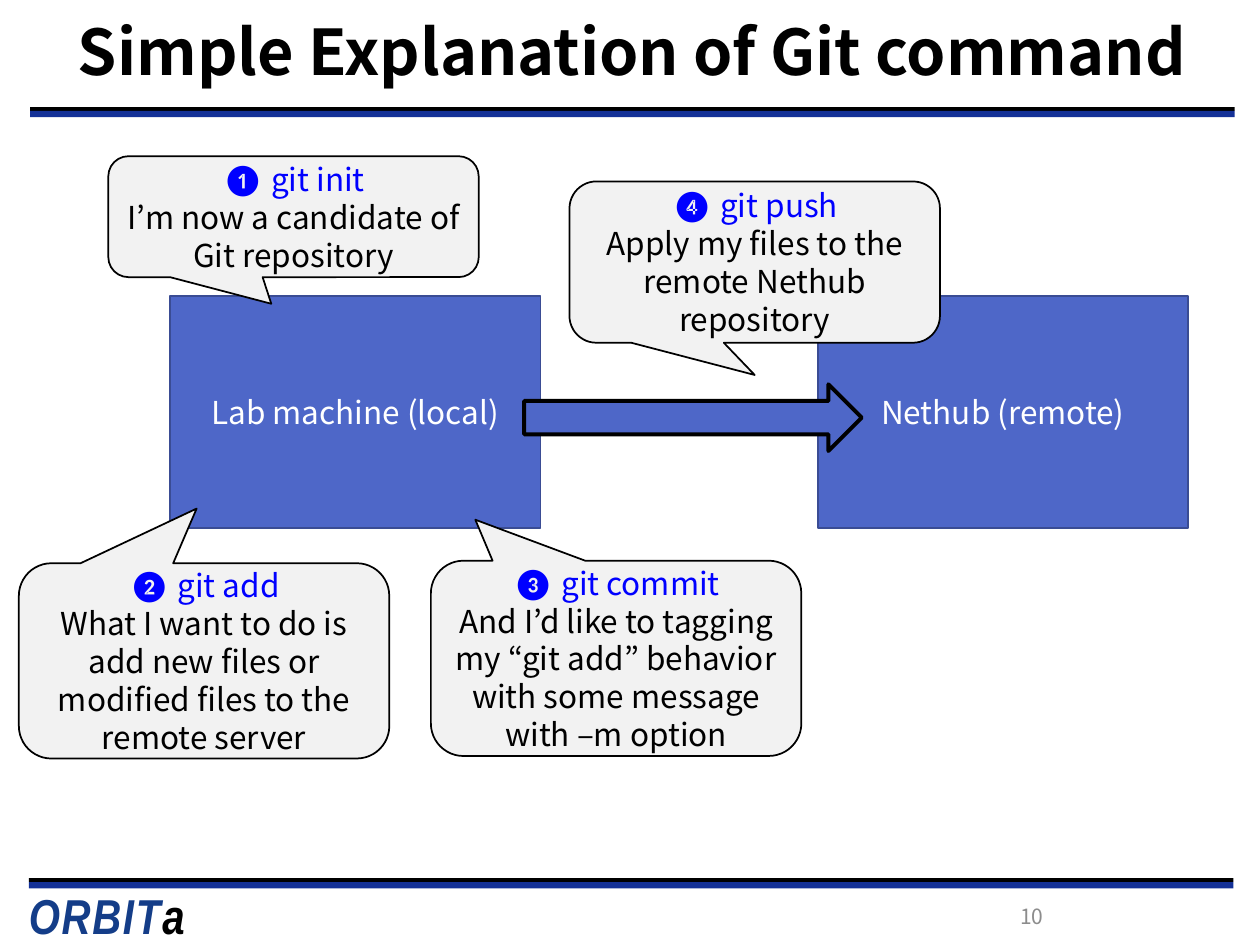
from dataclasses import dataclass
from pptx import Presentation
from pptx.dml.color import RGBColor
from pptx.enum.shapes import MSO_SHAPE
from pptx.enum.text import MSO_ANCHOR, PP_ALIGN
from pptx.util import Inches, Pt

RECT = MSO_SHAPE.RECTANGLE
CALLOUT = MSO_SHAPE.ROUNDED_RECTANGULAR_CALLOUT
ARROW = MSO_SHAPE.RIGHT_ARROW
MIDDLE = MSO_ANCHOR.MIDDLE
CENTER = PP_ALIGN.CENTER


@dataclass(frozen=True)
class Theme:
    font: str = "Noto Sans CJK KR"
    number_font: str = "Calibri"
    logo_font: str = "Arial Narrow"
    black: str = "000000"
    white: str = "FFFFFF"
    navy: str = "143197"
    logo: str = "143D88"
    grey: str = "8C8C8C"
    box: str = "4E67C8"
    box_line: str = "3A4C94"
    bubble: str = "F2F2F2"
    command: str = "0000FF"
    title: int = 36
    body: int = 18
    small: int = 12
    logo_size: int = 28


T = Theme()


def add_run(p, text, size, color, font=T.font, bold=False, italic=False):
    r = p.add_run()
    r.text = text
    r.font.size = Pt(size)
    r.font.name = font
    r.font.bold = bold
    r.font.italic = italic
    r.font.color.rgb = RGBColor.from_string(color)
    return r


def add_box(kind, x, y, w, h, fill, line=None, width=1):
    sp = s.shapes.add_shape(kind, Inches(x), Inches(y), Inches(w), Inches(h))
    sp.shadow.inherit = False
    sp.fill.solid()
    sp.fill.fore_color.rgb = RGBColor.from_string(fill)
    if line:
        sp.line.color.rgb = RGBColor.from_string(line)
        sp.line.width = Pt(width)
    else:
        sp.line.fill.background()
    tf = sp.text_frame
    tf.word_wrap = True
    tf.vertical_anchor = MIDDLE
    tf.paragraphs[0].alignment = CENTER
    return sp


prs = Presentation()
prs.slide_width = Inches(10)
prs.slide_height = Inches(7.5)
s = prs.slides.add_slide(prs.slide_layouts[6])

for x, y in [(0.24, 0.85), (0.23, 6.97)]:
    add_box(RECT, x, y, 9.56, 0.03, T.black)
    add_box(RECT, x, y + 0.03, 9.56, 0.05, T.navy)

tb = s.shapes.add_textbox(Inches(0.13), Inches(6.98), Inches(1.75), Inches(0.57))
tb.text_frame.word_wrap = True
p = tb.text_frame.paragraphs[0]
for text, color in [("ORBIT", T.logo), ("a", T.black)]:
    r = add_run(p, text, T.logo_size, color, T.logo_font, True, True)
    r._r.get_or_add_rPr().set("spc", "100")

for text, x, y, w, h, size, color, bold in [
    ("Simple Explanation of Git command", 0.26, 0.02, 9.51, 0.83, T.title, T.black, True),
    ("10", 7.98, 7.07, 0.42, 0.4, T.small, T.grey, False),
]:
    tb = s.shapes.add_textbox(Inches(x), Inches(y), Inches(w), Inches(h))
    tf = tb.text_frame
    tf.word_wrap = True
    tf.vertical_anchor = MIDDLE
    p = tf.paragraphs[0]
    p.alignment = CENTER
    if bold:
        p.line_spacing = 0.9
    add_run(p, text, size, color, bold=bold)

for x, label in [(1.35, "Lab machine (local)"), (6.49, "Nethub (remote)")]:
    sp = add_box(RECT, x, 2.35, 2.94, 1.84, T.box, T.box_line)
    add_run(sp.text_frame.paragraphs[0], label, T.body, T.white)

add_box(ARROW, 4.16, 3.05, 2.68, 0.53, T.box, T.black, 2.25)

callouts = [
    ("❶ ", "git init", "I’m now a candidate of Git repository",
     0.86, 1.24, 0.96, (-0.06, 0.72)),
    ("❷ ", "git add", "What I want to do is add new files or modified files to the remote server",
     0.15, 4.47, 1.55, (-0.02, -0.78)),
    ("❸ ", "git commit",
     "And I’d like to tagging my “git add” behavior with some message with –m option",
     3.42, 4.45, 1.55, (-0.38, -0.71)),
    ("❹ ", "git push", "Apply my files to the remote Nethub repository",
     4.52, 1.44, 1.28, (0, 0.7)),
]
for number, command, meaning, x, y, h, tip in callouts:
    sp = add_box(CALLOUT, x, y, 2.94, h, T.bubble, T.black)
    sp.adjustments[0], sp.adjustments[1] = tip
    p = sp.text_frame.paragraphs[0]
    add_run(p, number, T.body, T.command, T.number_font)
    add_run(p, command, T.body, T.command)
    p.add_line_break()
    add_run(p, meaning, T.body, T.black)

prs.save("out.pptx")
